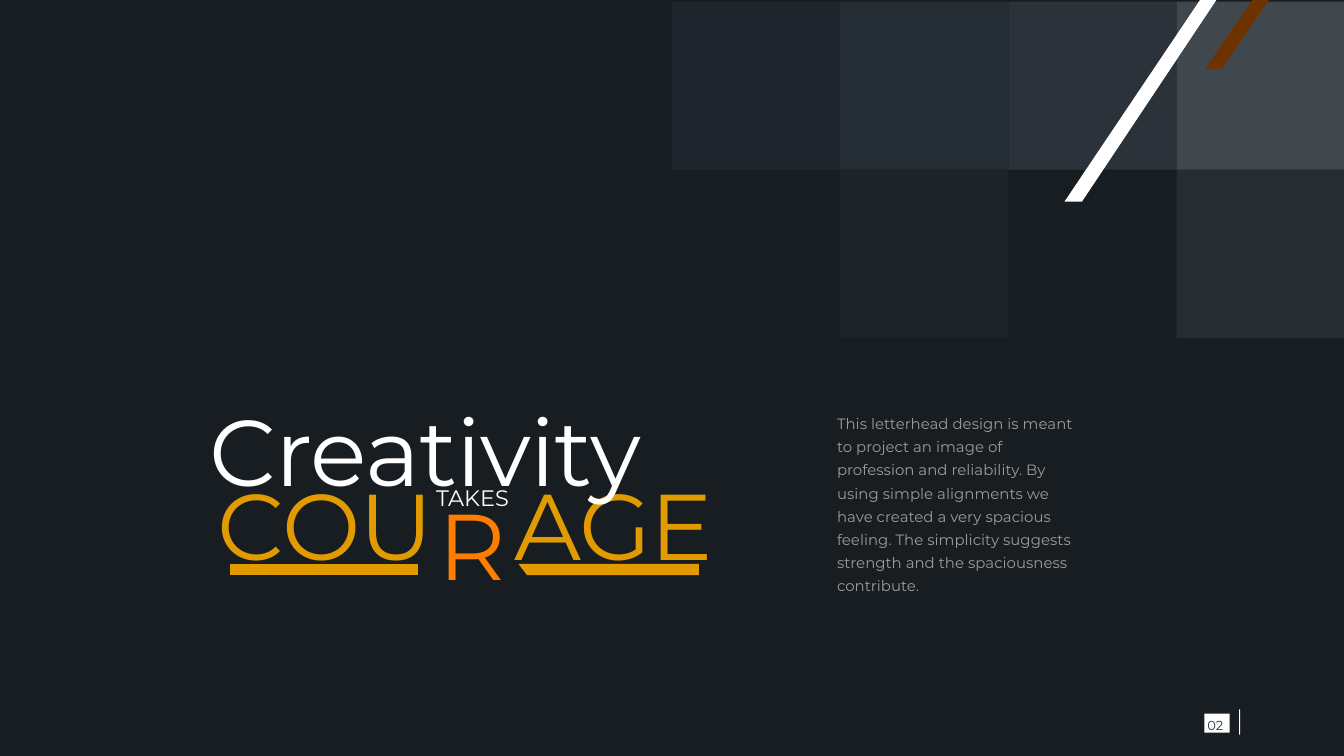
import pptx
import pptx.dml.color
import pptx.enum.shapes
import pptx.enum.text
import pptx.oxml.ns
import pptx.util
from lxml import etree

Cm = pptx.util.Cm
RGBColor = pptx.dml.color.RGBColor
PP_ALIGN = pptx.enum.text.PP_ALIGN

NIGHT = RGBColor(0x18, 0x1D, 0x22)
WHITE = RGBColor(0xFF, 0xFF, 0xFF)
GREY = RGBColor(0x9B, 0x9B, 0x9B)
MIST = RGBColor(0x8C, 0x96, 0xA0)
STEEL = RGBColor(0x50, 0x5A, 0x64)
SLATE = RGBColor(0x2B, 0x35, 0x3F)
GOLD = RGBColor(0xE1, 0x9B, 0x00)
ORANGE = RGBColor(0xFF, 0x7D, 0x00)
BROWN = RGBColor(0x6E, 0x32, 0x00)

FONT = "Montserrat"
TILE = 3.18
# Column, row, colour, opacity in percent
TILES = [
    (3, 0, MIST, 35),
    (3, 1, STEEL, 25),
    (2, 0, STEEL, 35),
    (1, 0, SLATE, 65),
    (1, 1, SLATE, 25),
    (0, 0, SLATE, 40),
]


def add_xml(parent, tag, **attributes):
    return etree.SubElement(parent, pptx.oxml.ns.qn(tag), attributes)


def paint(shape, color, opacity=100):
    shape.shadow.inherit = False
    shape.line.fill.background()
    shape.fill.solid()
    shape.fill.fore_color.rgb = color
    if opacity < 100:
        srgb = shape.fill._xPr.find(".//" + pptx.oxml.ns.qn("a:srgbClr"))
        add_xml(srgb, "a:alpha", val=str(opacity * 1000))


def add_block(slide, left, top, width, height, color, opacity=100):
    block = slide.shapes.add_shape(
        pptx.enum.shapes.MSO_SHAPE.RECTANGLE,
        Cm(left), Cm(top), Cm(width), Cm(height))
    paint(block, color, opacity)


def add_outline(slide, points, color):
    start, *others = [(Cm(x), Cm(y)) for x, y in points]
    builder = slide.shapes.build_freeform(*start)
    builder.add_line_segments(others, close=True)
    paint(builder.convert_to_shape(), color)


def write(box, text, size, color, align=PP_ALIGN.LEFT, line_spacing=1.0,
          inset=0, tracking=0, tab=None):
    frame = box.text_frame
    frame.word_wrap = True
    frame.auto_size = pptx.enum.text.MSO_AUTO_SIZE.NONE
    frame.vertical_anchor = pptx.enum.text.MSO_ANCHOR.MIDDLE
    frame.margin_left = frame.margin_right = Cm(inset)
    frame.margin_top = frame.margin_bottom = Cm(inset)
    paragraph = frame.paragraphs[0]
    paragraph.add_run().text = text
    paragraph.alignment = align
    paragraph.line_spacing = line_spacing
    properties = paragraph._p.get_or_add_pPr()
    if tab:
        stops = add_xml(properties, "a:tabLst")
        add_xml(stops, "a:tab", pos=str(Cm(tab)), algn="l")
    paragraph.font.name = FONT
    paragraph.font.size = pptx.util.Pt(size)
    paragraph.font.color.rgb = color
    if tracking:
        properties.get_or_add_defRPr().set("spc", str(tracking))


def add_text(slide, left, top, width, height, text, size, color, **style):
    box = slide.shapes.add_textbox(Cm(left), Cm(top), Cm(width), Cm(height))
    write(box, text, size, color, **style)


def add_title(slide, left, top, width, height, text, size, color, **style):
    title = slide.shapes.title
    title.left, title.top = Cm(left), Cm(top)
    title.width, title.height = Cm(width), Cm(height)
    write(title, text, size, color, **style)
    # Bring the title in front of the word it overlaps
    title.element.getparent().append(title.element)


def add_corner(slide):
    for column, row, color, opacity in TILES:
        add_block(slide, 12.7 + column * TILE, 0.03 + row * TILE,
                  TILE, TILE, color, opacity)
    # Slanted stripes
    add_outline(slide, [(20.12, 3.81), (22.68, 0), (22.99, 0), (20.45, 3.81)],
                WHITE)
    add_outline(slide, [(22.78, 1.3), (23.67, 0), (23.98, 0), (23.09, 1.3)],
                BROWN)


def add_slogan(slide):
    add_text(slide, 3.94, 8.74, 10.62, 2.31, "COU\tAGE", 50, GOLD,
             inset=0.18, tracking=-60, tab=5.6)
    add_text(slide, 8.1, 9.12, 1.5, 2.31, "R", 50, ORANGE,
             align=PP_ALIGN.CENTER, inset=0.18)
    add_title(slide, 3.96, 7.34, 9.4, 2.29, "Creativity", 50, WHITE,
              tracking=-50)
    add_text(slide, 8.18, 9.09, 1.5, 0.64, "TAKES", 12, WHITE,
             align=PP_ALIGN.CENTER)
    # Underlines on both sides of the dropped R
    top, bottom = 10.66, 10.87
    for left, left_foot, right in [(4.34, 4.34, 7.9), (9.8, 9.96, 13.21)]:
        add_outline(slide, [(left, top), (right, top), (right, bottom),
                            (left_foot, bottom)], GOLD)


def add_page_number(slide):
    add_block(slide, 22.76, 13.49, 0.48, 0.36, WHITE)
    add_text(slide, 22.68, 13.46, 0.58, 0.41, "02", 7, SLATE,
             align=PP_ALIGN.CENTER, line_spacing=1.3)
    add_block(slide, 23.42, 13.41, 0.02, 0.48, WHITE)


def main():
    deck = pptx.Presentation()
    deck.slide_width, deck.slide_height = Cm(25.4), Cm(14.29)
    slide = deck.slides.add_slide(deck.slide_layouts.get_by_name("Title Only"))
    slide.background.fill.solid()
    slide.background.fill.fore_color.rgb = NIGHT

    # Introduction
    add_text(slide, 15.82, 8.03, 4.6, 2.92,
             "This letterhead design is meant to project an image of "
             "profession and reliability. By using simple alignments we have "
             "created a very spacious feeling. The simplicity suggests "
             "strength and the spaciousness contribute.",
             8, GREY, line_spacing=1.3)
    add_corner(slide)
    add_page_number(slide)
    add_slogan(slide)
    deck.save("out.pptx")


if __name__ == "__main__":
    main()
